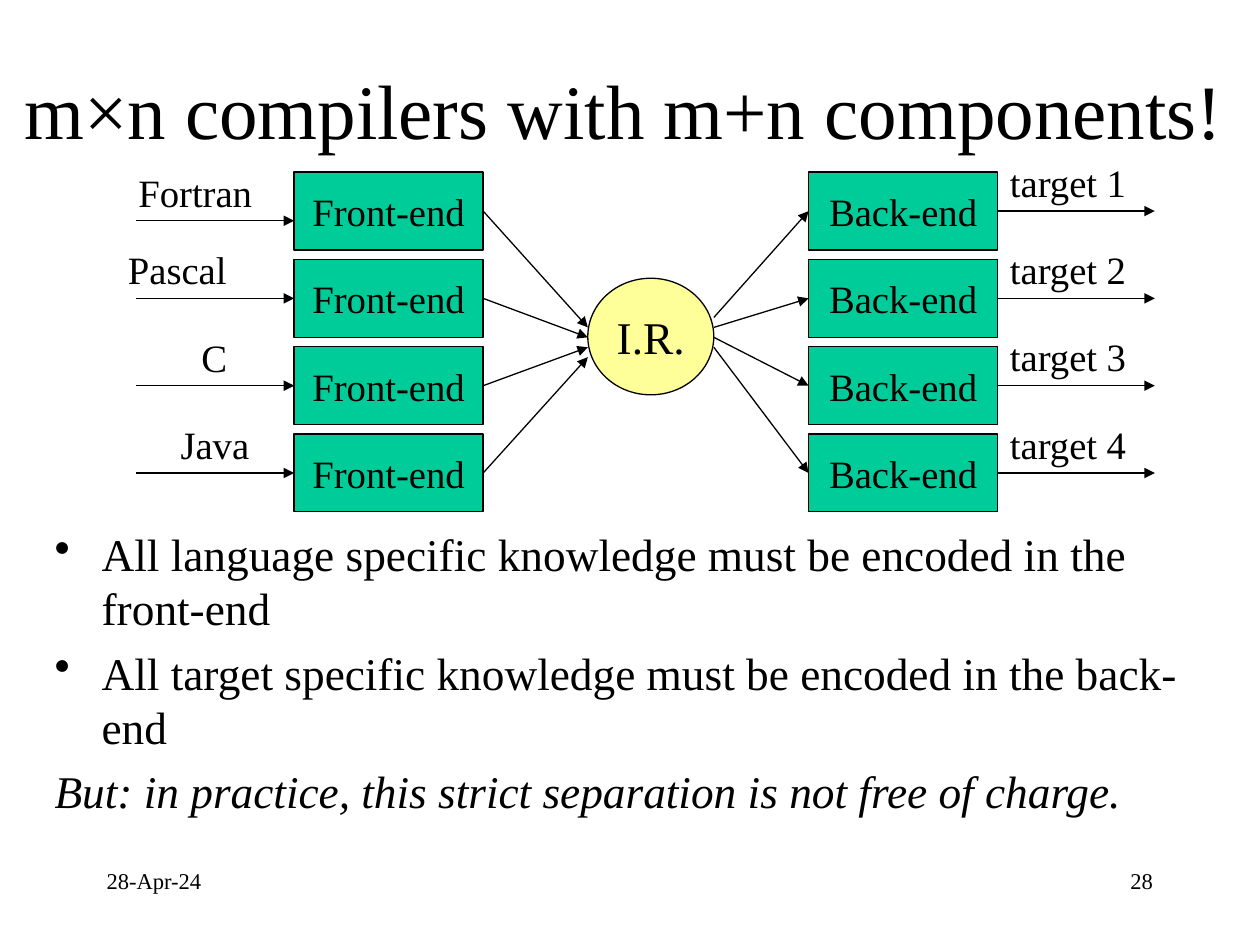
"""Build a slide on m×n compilers made from m+n components."""
import pptx
import pptx.dml.color
import pptx.enum.shapes
import pptx.enum.text
import pptx.oxml
import pptx.oxml.ns
import pptx.util

Cm, Pt = pptx.util.Cm, pptx.util.Pt
ALIGN = pptx.enum.text.PP_ALIGN
ANCHOR = pptx.enum.text.MSO_ANCHOR
SHAPE = pptx.enum.shapes.MSO_SHAPE
FONT = "Times New Roman"
COLORS = {"ink": "000000", "box": "00CC99", "ir": "FFFF99"}
PITCH = 1.76
BOX_TOP, BOX_W, BOX_H = 3.47, 3.81, 1.57
FRONT_X, BACK_X = 5.93, 16.3
IR_LEFT, IR_RIGHT = 11.85, 14.39
SOURCES = [("Fortran", 2.54, 3.28, 2.84), ("Pascal", 2.33, 4.83, 2.54),
           ("C", 3.81, 6.6, 1.04), ("Java", 3.39, 8.36, 1.93)]
POINTS = [
    ("All language specific knowledge must be encoded in the front-end", True),
    ("All target specific knowledge must be encoded in the back-end", True),
    ("But: in practice, this strict separation is not free of charge.", False),
]


def rgb(name):
    """Return the named colour."""
    return pptx.dml.color.RGBColor.from_string(COLORS[name])


def format_paragraph(p, size, align=ALIGN.LEFT, italic=False):
    """Apply alignment and font to a paragraph."""
    p.alignment = align
    for r in p.runs:
        r.font.name, r.font.size, r.font.italic = FONT, Pt(size), italic
        r.font.color.rgb = rgb("ink")


def add_text(s, text, x, y, w, h, size, align=ALIGN.LEFT, wrap=True,
             anchor=ANCHOR.TOP):
    """Add a one-paragraph text box."""
    tf = s.shapes.add_textbox(Cm(x), Cm(y), Cm(w), Cm(h)).text_frame
    tf.text, tf.word_wrap, tf.vertical_anchor = text, wrap, anchor
    format_paragraph(tf.paragraphs[0], size, align)


def add_node(s, kind, text, x, y, w, h, fill, size):
    """Add a filled, outlined shape with a centred label."""
    sp = s.shapes.add_shape(kind, Cm(x), Cm(y), Cm(w), Cm(h))
    sp.shadow.inherit = False
    sp.fill.solid()
    sp.fill.fore_color.rgb = rgb(fill)
    sp.line.color.rgb, sp.line.width = rgb("ink"), Pt(0.75)
    tf = sp.text_frame
    tf.text, tf.word_wrap, tf.vertical_anchor = text, False, ANCHOR.MIDDLE
    format_paragraph(tf.paragraphs[0], size, ALIGN.CENTER)
    return sp


def add_arrow(s, x1, y1, x2, y2, begin=None, end=None):
    """Add an arrow, joined to the right of begin or the left of end."""
    c = s.shapes.add_connector(pptx.enum.shapes.MSO_CONNECTOR.STRAIGHT,
                               Cm(x1), Cm(y1), Cm(x2), Cm(y2))
    if begin is not None:
        c.begin_connect(begin, 3)
    if end is not None:
        c.end_connect(end, 1)
    c.line.color.rgb, c.line.width = rgb("ink"), Pt(0.75)
    qn = pptx.oxml.ns.qn
    ln = c.line._get_or_add_ln()
    ln.append(ln.makeelement(qn("a:tailEnd"), {"type": "triangle"}))
    ln.addnext(ln.makeelement(qn("a:effectLst"), {}))


def add_points(s):
    """Add the bulleted conclusions and the closing remark."""
    tf = s.shapes.add_textbox(Cm(0.85), Cm(10.48), Cm(23.92), Cm(6.25)).text_frame
    tf.word_wrap = True
    tf.text = "\n".join(text for text, _ in POINTS)
    for p, (_, bulleted) in zip(tf.paragraphs, POINTS):
        format_paragraph(p, 25.9, italic=not bulleted)
        p.space_before = Pt(5.7)
        pPr = p._p.get_or_add_pPr()
        pPr.set("marL", str(Cm(0.95)))
        pPr.set("indent", str(Cm(-0.95)))
        tag, attrs = ("a:buChar", {"char": "•"}) if bulleted else ("a:buNone", {})
        pPr.append(pPr.makeelement(pptx.oxml.ns.qn(tag), attrs))


def add_diagram(s):
    """Add the front-ends, the shared representation and the back-ends."""
    add_node(s, SHAPE.OVAL, "I.R.", IR_LEFT, 5.61, IR_RIGHT - IR_LEFT, 2.35,
             "ir", 25.9)
    for i, (source, x, label_y, w) in enumerate(SOURCES):
        top = BOX_TOP + i * PITCH
        mid = top + BOX_H / 2
        front = add_node(s, SHAPE.RECTANGLE, "Front-end", FRONT_X, top,
                         BOX_W, BOX_H, "box", 22.1)
        back = add_node(s, SHAPE.RECTANGLE, "Back-end", BACK_X, top,
                        BOX_W, BOX_H, "box", 22.1)
        if i == 0:
            add_arrow(s, 2.75, 4.45, FRONT_X, 4.45)
        else:
            add_arrow(s, 2.75, mid, FRONT_X, mid, end=front)
        add_arrow(s, FRONT_X + BOX_W, mid, IR_LEFT, 6.6 + 0.2 * i, begin=front)
        add_arrow(s, IR_RIGHT, 6.4 + 0.2 * i, BACK_X, mid, end=back)
        add_arrow(s, BACK_X + BOX_W, mid, 23.28, mid, begin=back)
        add_text(s, source, x, label_y, w, 1.19, 22.1, wrap=False)
        add_text(s, f"target {i + 1}", BACK_X + BOX_W, 3.07 + i * PITCH,
                 2.9, 1.19, 22.1, wrap=False)


def main():
    """Build and save the slide."""
    prs = pptx.Presentation()
    prs.slide_width, prs.slide_height = Cm(25.4), Cm(19.05)
    s = prs.slides.add_slide(prs.slide_layouts[6])
    add_text(s, "m×n compilers with m+n components!", 0.2, 1.12, 24.77, 2.16,
             44, ALIGN.CENTER, anchor=ANCHOR.MIDDLE)
    add_diagram(s)
    add_points(s)
    add_text(s, "28-Apr-24", 1.9, 17.35, 5.28, 1.27, 12.9)
    add_text(s, "28", 18.21, 17.35, 5.28, 1.27, 12.9, ALIGN.RIGHT)
    prs.save("out.pptx")


if __name__ == "__main__":
    main()
